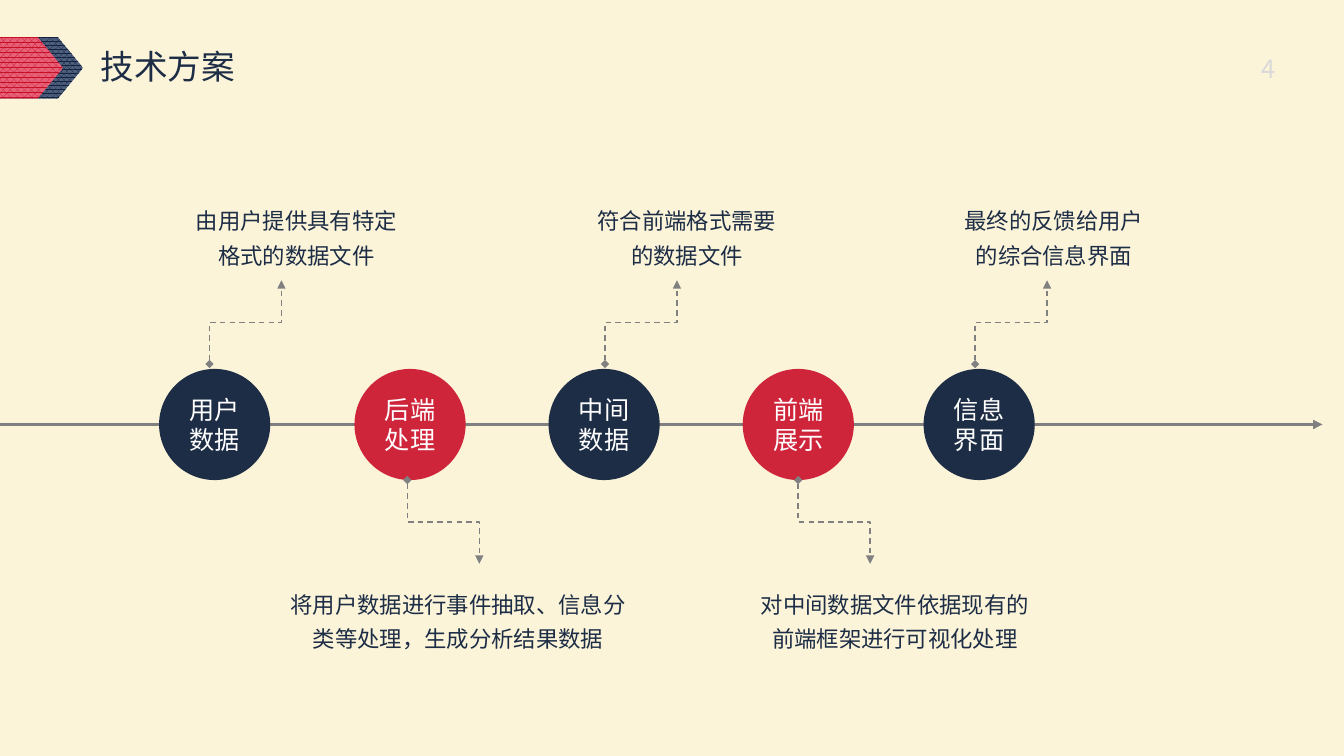
from dataclasses import dataclass

from lxml import etree
from pptx import Presentation
from pptx.dml.color import RGBColor
from pptx.enum.dml import MSO_LINE, MSO_PATTERN
from pptx.enum.shapes import MSO_CONNECTOR, MSO_SHAPE
from pptx.enum.text import MSO_ANCHOR, PP_ALIGN
from pptx.oxml.ns import qn
from pptx.shapes.connector import Connector
from pptx.slide import Slide
from pptx.text.text import TextFrame
from pptx.util import Pt

CREAM = RGBColor(0xFB, 0xF4, 0xD9)
NAVY = RGBColor(0x1D, 0x2D, 0x46)
RED = RGBColor(0xCF, 0x25, 0x3B)
GREY = RGBColor(0x80, 0x80, 0x80)
WHITE = RGBColor(0xFF, 0xFF, 0xFF)
PALE_GREY = RGBColor(0xD9, 0xD9, 0xD9)
NAVY_INK = RGBColor(0x13, 0x23, 0x3B)
NAVY_TINT = RGBColor(0x50, 0x60, 0x81)
RED_INK = RGBColor(0xC6, 0x10, 0x27)
RED_TINT = RGBColor(0xE7, 0x62, 0x78)

DASH = MSO_LINE.DASH
PERCENT_70 = MSO_PATTERN.PERCENT_70
PERCENT_75 = MSO_PATTERN.PERCENT_75
STRAIGHT = MSO_CONNECTOR.STRAIGHT
ELBOW = MSO_CONNECTOR.ELBOW
OVAL = MSO_SHAPE.OVAL
MIDDLE = MSO_ANCHOR.MIDDLE
TOP = MSO_ANCHOR.TOP
LEFT = PP_ALIGN.LEFT
CENTER = PP_ALIGN.CENTER
RIGHT = PP_ALIGN.RIGHT

FONT = "Noto Sans CJK SC"
AXIS_Y = 303.2
AXIS_END = 944.7
DIAMETER = 79.4
LEADER_RUN = 51.4
LEADER_RISE = 59.8
CAPTION_HEIGHT = 57.6


@dataclass(frozen=True)
class Chevron:
    shoulder: float
    tip: float
    pattern: MSO_PATTERN
    ink: RGBColor
    tint: RGBColor


@dataclass(frozen=True)
class Stage:
    label: str
    left: float
    leader_x: float
    caption: str
    caption_left: float
    caption_width: float
    above: bool


CHEVRONS = [
    Chevron(41.4, 59.4, PERCENT_75, NAVY_INK, NAVY_TINT),
    Chevron(27, 45, PERCENT_70, RED_INK, RED_TINT),
]

STAGES = [
    Stage("用户\n数据", 113.6, 149.6, "由用户提供具有特定格式的数据文件", 125.3, 172.8, True),
    Stage("后端\n处理", 253.2, 290.9, "将用户数据进行事件抽取、信息分类等处理，生成分析结果数据", 193, 268.6, False),
    Stage("中间\n数据", 391.8, 432.1, "符合前端格式需要的数据文件", 416.9, 147.6, True),
    Stage("前端\n展示", 530.5, 570.1, "对中间数据文件依据现有的前端框架进行可视化处理", 530.6, 217.4, False),
    Stage("信息\n界面", 659.7, 696.5, "最终的反馈给用户的综合信息界面", 676.1, 153.4, True),
]


def write(frame: TextFrame, text: str, size: float, color: RGBColor,
          align: PP_ALIGN, anchor: MSO_ANCHOR, spacing: float = 1.0) -> None:
    frame.word_wrap = True
    frame.vertical_anchor = anchor
    frame.text = text
    for paragraph in frame.paragraphs:
        paragraph.alignment = align
        paragraph.line_spacing = spacing
        for run in paragraph.runs:
            run.font.size = Pt(size)
            run.font.name = FONT
            run.font.color.rgb = color
            east_asian = etree.SubElement(run.font._element, qn("a:ea"))
            east_asian.set("typeface", FONT)


def add_text(slide: Slide, left: float, top: float, width: float, height: float,
             text: str, size: float, color: RGBColor, align: PP_ALIGN,
             anchor: MSO_ANCHOR, spacing: float = 1.0) -> None:
    box = slide.shapes.add_textbox(Pt(left), Pt(top), Pt(width), Pt(height))
    write(box.text_frame, text, size, color, align, anchor, spacing)


def add_chevron(slide: Slide, chevron: Chevron) -> None:
    top, bottom = 26.6, 70.4
    builder = slide.shapes.build_freeform(Pt(0), Pt(top))
    corners = [(chevron.shoulder, top), (chevron.tip, (top + bottom) / 2),
               (chevron.shoulder, bottom), (0, bottom)]
    builder.add_line_segments([(Pt(x), Pt(y)) for x, y in corners])
    shape = builder.convert_to_shape()
    shape.shadow.inherit = False
    shape.line.fill.background()
    shape.fill.patterned()
    shape.fill.pattern = chevron.pattern
    shape.fill.fore_color.rgb = chevron.ink
    shape.fill.back_color.rgb = chevron.tint


def style_arrow(connector: Connector, width: float, head: str = "none") -> None:
    connector.line.color.rgb = GREY
    connector.line.width = Pt(width)
    line = connector.line._get_or_add_ln()
    for tag, kind in (("a:headEnd", head), ("a:tailEnd", "triangle")):
        etree.SubElement(line, qn(tag)).set("type", kind)
    etree.SubElement(connector._element.spPr, qn("a:effectLst"))


def add_axis(slide: Slide) -> None:
    axis = slide.shapes.add_connector(STRAIGHT, Pt(0), Pt(AXIS_Y), Pt(AXIS_END), Pt(AXIS_Y))
    style_arrow(axis, 2.25)


def add_circle(slide: Slide, stage: Stage) -> None:
    circle = slide.shapes.add_shape(OVAL, Pt(stage.left), Pt(AXIS_Y - DIAMETER / 2),
                                    Pt(DIAMETER), Pt(DIAMETER))
    circle.shadow.inherit = False
    circle.fill.solid()
    circle.fill.fore_color.rgb = NAVY if stage.above else RED
    circle.line.fill.background()
    frame = circle.text_frame
    frame.margin_left = frame.margin_right = 0
    write(frame, stage.label, 18, WHITE, CENTER, MIDDLE)


def add_leader(slide: Slide, stage: Stage) -> None:
    center_x = stage.leader_x + LEADER_RUN / 2
    center_y = 230.2 if stage.above else 372.8
    right, left = center_x + LEADER_RISE / 2, center_x - LEADER_RISE / 2
    top, bottom = center_y - LEADER_RUN / 2, center_y + LEADER_RUN / 2
    start_y, end_y = (bottom, top) if stage.above else (top, bottom)
    leader = slide.shapes.add_connector(ELBOW, Pt(right), Pt(start_y), Pt(left), Pt(end_y))
    quarter_turns = 1 if stage.above else 3
    leader._element.spPr.find(qn("a:xfrm")).set("rot", str(quarter_turns * 5400000))
    leader.line.dash_style = DASH
    style_arrow(leader, 1, "diamond")


def add_caption(slide: Slide, stage: Stage) -> None:
    top = 139 if stage.above else 412.6
    add_text(slide, stage.caption_left, top, stage.caption_width, CAPTION_HEIGHT,
             stage.caption, 16, NAVY, CENTER, TOP, 1.3)


def main() -> None:
    presentation = Presentation()
    presentation.slide_width = Pt(960)
    presentation.slide_height = Pt(540)
    slide = presentation.slides.add_slide(presentation.slide_layouts[6])
    slide.background.fill.solid()
    slide.background.fill.fore_color.rgb = CREAM

    for chevron in CHEVRONS:
        add_chevron(slide, chevron)
    add_text(slide, 64.8, 32, 620.6, 34, "技术方案", 24, NAVY, LEFT, MIDDLE, 0.9)
    add_text(slide, 846, 32, 72, 34, "4", 18, PALE_GREY, RIGHT, MIDDLE)

    add_axis(slide)
    for draw in (add_circle, add_leader, add_caption):
        for stage in STAGES:
            draw(slide, stage)

    presentation.save("out.pptx")


main()
